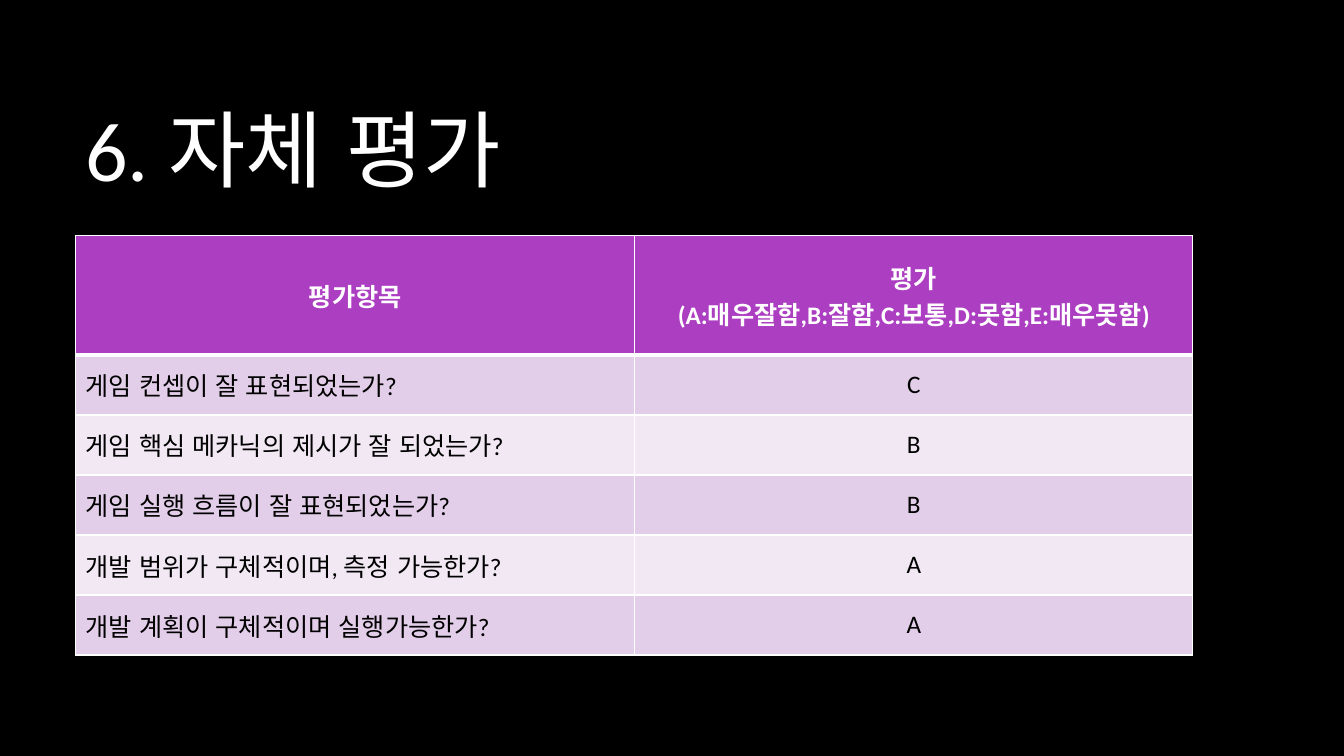
from lxml.etree import SubElement
from pptx import Presentation
from pptx.dml.color import RGBColor
from pptx.enum.lang import MSO_LANGUAGE_ID as LANG
from pptx.enum.text import MSO_ANCHOR as ANCHOR, PP_ALIGN as ALIGN
from pptx.oxml.ns import qn
from pptx.util import Pt

FONT = "Calibri"
COLORS = {
    "background": "000000",
    "light": "FFFFFF",
    "dark": "000000",
    "header": "AC3EC1",
    "odd": "E3CEE9",
    "even": "F1E8F4",
}
HEADER = [["평가항목"], ["평가", "(A:매우잘함,B:잘함,C:보통,D:못함,E:매우못함)"]]
RATINGS = [
    ("게임 컨셉이 잘 표현되었는가?", "C"),
    ("게임 핵심 메카닉의 제시가 잘 되었는가?", "B"),
    ("게임 실행 흐름이 잘 표현되었는가?", "B"),
    ("개발 범위가 구체적이며, 측정 가능한가?", "A"),
    ("개발 계획이 구체적이며 실행가능한가?", "A"),
]


def rgb(name):
    return RGBColor.from_string(COLORS[name])


def write(tf, lines, size, color, align=ALIGN.LEFT, bold=False):
    for i, line in enumerate(lines):
        p = tf.paragraphs[0] if i == 0 else tf.add_paragraph()
        p.alignment = align
        r = p.add_run()
        r.text = line
        r.font.name = FONT
        r.font.language_id = LANG.KOREAN
        r.font.size = Pt(size)
        r.font.bold = bold
        r.font.color.rgb = rgb(color)


def add_title(slide, text):
    sp = slide.shapes.add_textbox(Pt(54), Pt(48.5), Pt(798), Pt(114.5))
    tf = sp.text_frame
    tf.word_wrap = True
    tf.vertical_anchor = ANCHOR.MIDDLE
    write(tf, [text], 60, "light")


def set_borders(cell, top, bottom):
    """Draw white cell borders; top and bottom are widths in points."""
    tc_pr = cell._tc.get_or_add_tcPr()
    for side, width in (("L", 1), ("R", 1), ("T", top), ("B", bottom)):
        ln = SubElement(tc_pr, qn(f"a:ln{side}"), w=str(Pt(width)))
        fill = SubElement(ln, qn("a:solidFill"))
        SubElement(fill, qn("a:srgbClr"), val=COLORS["light"])


def fill_cell(cell, lines, fill, color, align, bold=False, top=1, bottom=1):
    cell.vertical_anchor = ANCHOR.MIDDLE
    set_borders(cell, top, bottom)
    cell.fill.solid()
    cell.fill.fore_color.rgb = rgb(fill)
    write(cell.text_frame, lines, 18, color, align, bold)


def add_rating_table(slide):
    table = slide.shapes.add_table(
        len(RATINGS) + 1, 2, Pt(54), Pt(168.5), Pt(798), Pt(299.5)
    ).table
    for column, width in zip(table.columns, (399.5, 398.5)):
        column.width = Pt(width)
    for i, row in enumerate(table.rows):
        row.height = Pt(42.9 if i else 85)

    for col, lines in enumerate(HEADER):
        fill_cell(table.cell(0, col), lines, "header", "light", ALIGN.CENTER,
                  bold=True, bottom=3)
    for i, rating in enumerate(RATINGS, start=1):
        fill = "odd" if i % 2 else "even"
        top = 3 if i == 1 else 1
        for col, (text, align) in enumerate(zip(rating, (ALIGN.LEFT, ALIGN.CENTER))):
            fill_cell(table.cell(i, col), [text], fill, "dark", align, top=top)


def main():
    prs = Presentation()
    prs.slide_width, prs.slide_height = Pt(960), Pt(540)
    slide = prs.slides.add_slide(prs.slide_layouts[6])
    background = slide.background.fill
    background.solid()
    background.fore_color.rgb = rgb("background")
    add_title(slide, "6. 자체 평가")
    add_rating_table(slide)
    prs.save("out.pptx")


if __name__ == "__main__":
    main()
